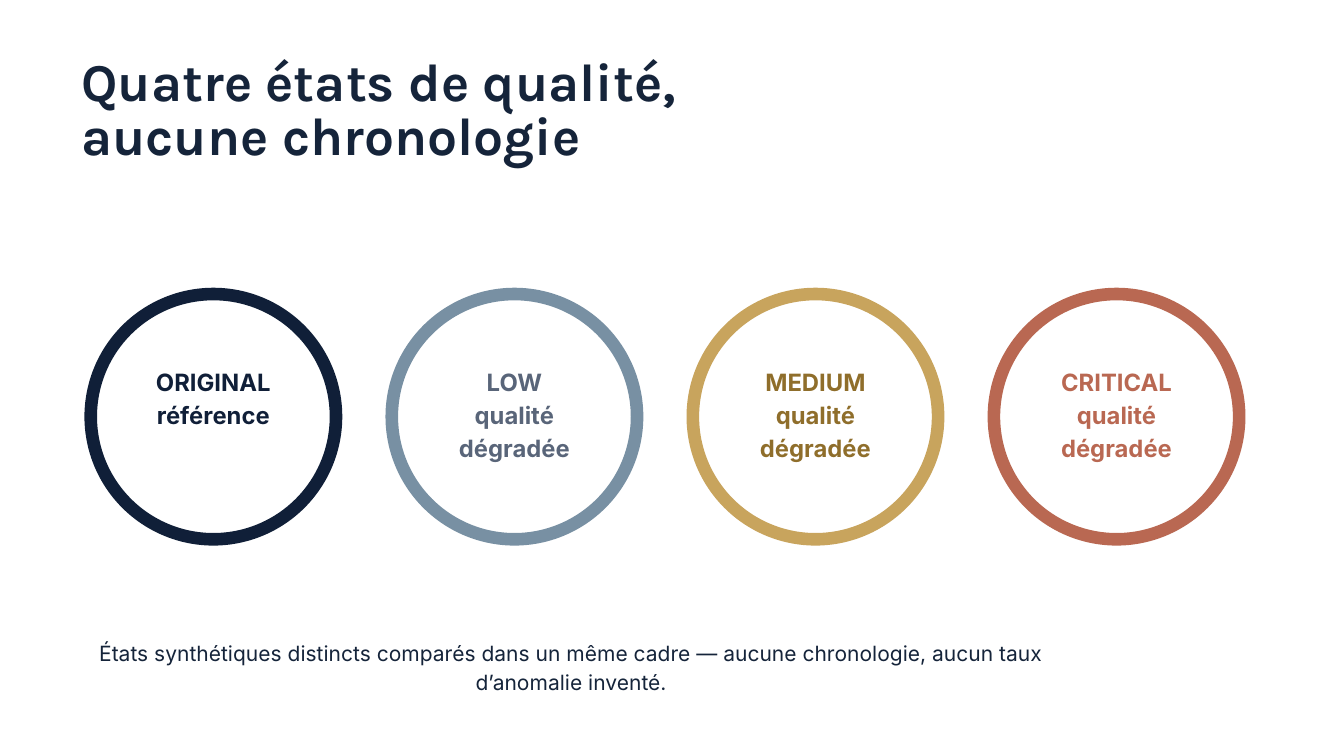
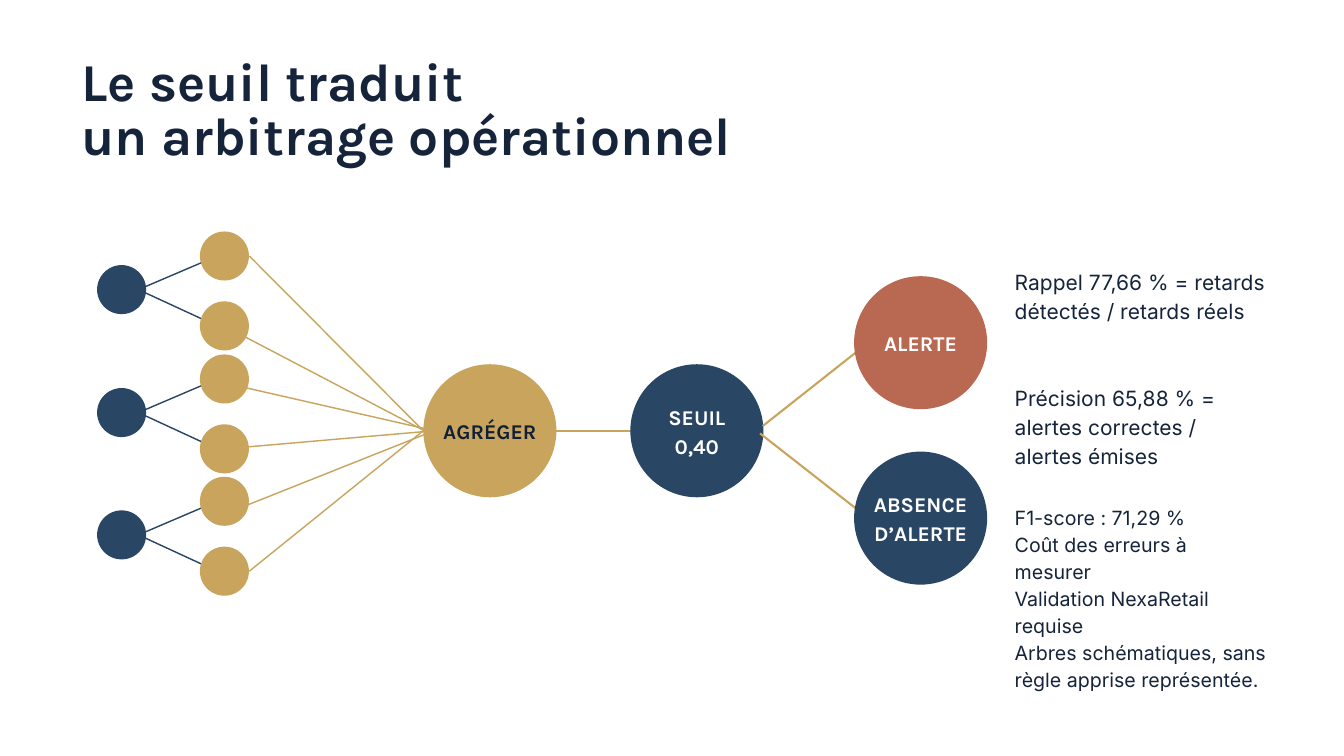
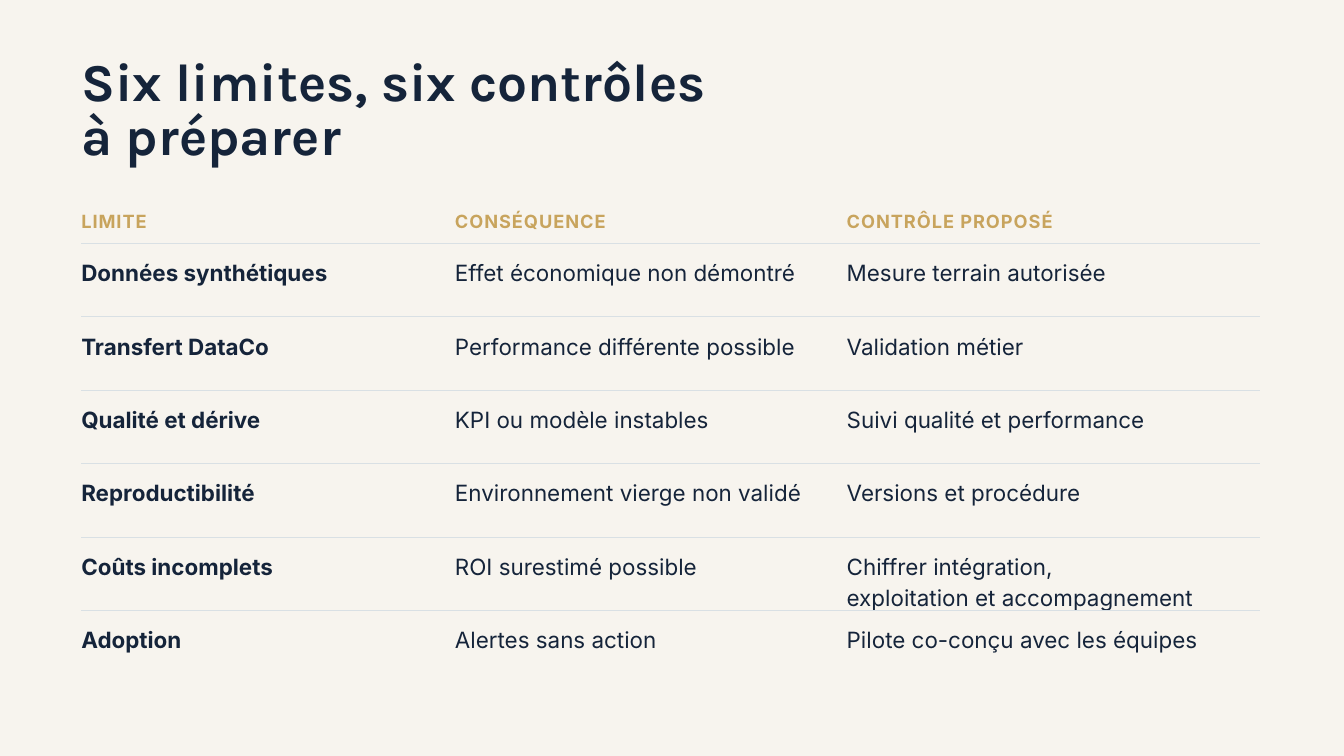
from dataclasses import dataclass
from typing import NamedTuple

from lxml.etree import SubElement
from pptx import Presentation
from pptx.dml.color import RGBColor
from pptx.enum.shapes import MSO_CONNECTOR, MSO_SHAPE
from pptx.enum.text import MSO_ANCHOR, PP_ALIGN
from pptx.oxml.ns import qn
from pptx.shapes.autoshape import Shape
from pptx.slide import Slide
from pptx.table import _Cell
from pptx.text.text import TextFrame
from pptx.util import Inches, Pt

WHITE = RGBColor(0xFF, 0xFF, 0xFF)
CREAM = RGBColor(0xF7, 0xF4, 0xEE)
INK = RGBColor(0x15, 0x24, 0x3A)
NAVY = RGBColor(0x10, 0x1F, 0x38)
BLUE = RGBColor(0x29, 0x46, 0x65)
STEEL = RGBColor(0x78, 0x90, 0xA3)
SLATE = RGBColor(0x59, 0x65, 0x79)
GOLD = RGBColor(0xC8, 0xA4, 0x5D)
BRONZE = RGBColor(0x8F, 0x6E, 0x2B)
BRICK = RGBColor(0xB9, 0x68, 0x52)
RULE = RGBColor(0xD9, 0xE0, 0xE4)

PLAIN_TABLE_STYLE = "{2D5ABB26-0587-4C30-8999-92F81FD0307C}"
MARGIN_LEFT = 1.21


@dataclass(frozen=True)
class TextStyle:
    """Font, size, line spacing and look of a text."""

    font: str
    size: float
    line: float
    color: RGBColor = INK
    bold: bool = False
    align: PP_ALIGN = PP_ALIGN.LEFT
    tracking: int = 0


class QualityState(NamedTuple):
    """A ring with its label."""

    label: str
    ring: RGBColor
    text: RGBColor


class Link(NamedTuple):
    """A straight line between two points, in inches."""

    start: tuple[float, float]
    end: tuple[float, float]


class Node(NamedTuple):
    """A large labelled disc, placed by its centre."""

    label: str
    x: float
    y: float
    fill: RGBColor
    text: RGBColor = WHITE


class Note(NamedTuple):
    """A text at the right of the diagram."""

    text: str
    top: float
    height: float
    style: TextStyle


TITLE = TextStyle("Karla", 57, 58.1, bold=True)
BODY = TextStyle("Inter", 22.5, 31)
CAPTION = TextStyle("Inter", 22.5, 31, align=PP_ALIGN.CENTER)
SMALL = TextStyle("Inter", 21, 29)
TABLE_HEAD = TextStyle("Inter", 19.5, 27.3, GOLD, bold=True, tracking=100)
TABLE_KEY = TextStyle("Inter", 24, 33.1, bold=True)
TABLE_BODY = TextStyle("Inter", 24, 33.1)

STATES = [
    QualityState("ORIGINAL\nréférence", NAVY, NAVY),
    QualityState("LOW\nqualité dégradée", STEEL, SLATE),
    QualityState("MEDIUM\nqualité dégradée", GOLD, BRONZE),
    QualityState("CRITICAL\nqualité dégradée", BRICK, BRICK),
]
RING_SIZE = 3.65
RING_LEFT = 1.35
RING_PITCH = 4.48

TREE_CENTERS = [4.31, 6.14, 7.96]
ROOT_X = 1.81
LEAF_X = 3.34
LEAF_OFFSETS = [-0.5, 0.54]
DOT_SIZE = 0.73
DISC_SIZE = 1.98
AXIS_Y = 6.41
LEAF_LINKS = [
    Link((3.71, 3.81), (6.3, AXIS_Y)),
    Link((3.45, 4.91), (6.62, 6.57)),
    Link((3.48, 5.73), (6.46, AXIS_Y)),
    Link((3.34, 6.68), (6.46, AXIS_Y)),
    Link((3.67, 7.52), (6.46, AXIS_Y)),
    Link((3.71, 8.5), (6.3, AXIS_Y)),
]
THRESHOLD_LINK = Link((8.02, AXIS_Y), (9.58, AXIS_Y))
OUTCOME_LINKS = [
    Link((11.35, 6.34), (12.92, 5.1)),
    Link((11.31, 6.45), (12.92, 7.71)),
]
AGGREGATE = Node("AGRÉGER", 7.29, AXIS_Y, GOLD, NAVY)
THRESHOLD = Node("SEUIL\n0,40", 10.37, AXIS_Y, BLUE)
OUTCOMES = [
    Node("ALERTE", 13.7, 5.1, BRICK),
    Node("ABSENCE\nD’ALERTE", 13.7, 7.71, BLUE),
]
NOTES = [
    Note("Rappel 77,66 % = retards détectés / retards réels", 3.96, 0.85, BODY),
    Note("Précision 65,88 % = alertes correctes / alertes émises", 5.68, 1.28, BODY),
    Note(
        "F1-score : 71,29 %\nCoût des erreurs à mesurer\nValidation NexaRetail requise\n"
        "Arbres schématiques, sans règle apprise représentée.",
        7.47, 2.35, SMALL,
    ),
]

COLUMN_WIDTHS = [5.56, 5.83, 6.15]
TABLE_TOP = 3.09
HEADER_HEIGHT = 0.55
BODY_HEIGHT = 6.56
FIRST_RULE_Y = 3.62
CONTROLS = [
    ("LIMITE", "CONSÉQUENCE", "CONTRÔLE PROPOSÉ"),
    ("Données synthétiques", "Effet économique non démontré", "Mesure terrain autorisée"),
    ("Transfert DataCo", "Performance différente possible", "Validation métier"),
    ("Qualité et dérive", "KPI ou modèle instables", "Suivi qualité et performance"),
    ("Reproductibilité", "Environnement vierge non validé", "Versions et procédure"),
    ("Coûts incomplets", "ROI surestimé possible",
     "Chiffrer intégration,\nexploitation et accompagnement"),
    ("Adoption", "Alertes sans action", "Pilote co-conçu avec les équipes"),
]


def write(frame: TextFrame, text: str, style: TextStyle) -> None:
    """Fill a frame with one paragraph per line of text."""
    for index, line in enumerate(text.split("\n")):
        paragraph = frame.add_paragraph() if index else frame.paragraphs[0]
        paragraph.alignment = style.align
        paragraph.line_spacing = Pt(style.line)
        run = paragraph.add_run()
        run.text = line
        run.font.name = style.font
        run.font.size = Pt(style.size)
        run.font.bold = style.bold
        run.font.color.rgb = style.color
        if style.tracking:
            run.font._element.set("spc", str(style.tracking))


def clear_margins(target: TextFrame | _Cell) -> None:
    """Remove the inner margins of a frame or a cell."""
    target.margin_left = target.margin_right = 0
    target.margin_top = target.margin_bottom = 0


def add_text(slide: Slide, text: str, left: float, top: float,
             width: float, height: float, style: TextStyle) -> None:
    """Add a wrapping text box without margins."""
    box = slide.shapes.add_textbox(Inches(left), Inches(top), Inches(width), Inches(height))
    frame = box.text_frame
    frame.word_wrap = True
    clear_margins(frame)
    write(frame, text, style)


def add_slide(presentation: Presentation, title: str, background: RGBColor) -> Slide:
    """Add a blank slide with its background and title."""
    slide = presentation.slides.add_slide(presentation.slide_layouts[6])
    slide.background.fill.solid()
    slide.background.fill.fore_color.rgb = background
    add_text(slide, title, MARGIN_LEFT, 0.86, 12.5, 1.64, TITLE)
    return slide


def add_circle(slide: Slide, x: float, y: float, size: float) -> Shape:
    """Add a shadowless circle around a centre."""
    circle = slide.shapes.add_shape(
        MSO_SHAPE.OVAL, Inches(x - size / 2), Inches(y - size / 2), Inches(size), Inches(size))
    circle.shadow.inherit = False
    clear_margins(circle.text_frame)
    return circle


def add_disc(slide: Slide, x: float, y: float, size: float, color: RGBColor) -> Shape:
    """Add a filled circle without outline."""
    disc = add_circle(slide, x, y, size)
    disc.fill.solid()
    disc.fill.fore_color.rgb = color
    disc.line.fill.background()
    return disc


def add_ring(slide: Slide, index: int, state: QualityState) -> None:
    """Add a ring holding the label of a quality state."""
    ring = add_circle(slide, RING_LEFT + RING_SIZE / 2 + index * RING_PITCH, 6.2, RING_SIZE)
    ring.fill.background()
    ring.line.color.rgb = state.ring
    ring.line.width = Pt(13.5)
    frame = ring.text_frame
    frame.word_wrap = True
    frame.vertical_anchor = MSO_ANCHOR.TOP
    frame.margin_top = Inches(0.5)
    style = TextStyle("Inter", 25.5, 35.2, state.text, True, PP_ALIGN.CENTER)
    write(frame, state.label, style)


def add_node(slide: Slide, node: Node) -> None:
    """Add a large disc with its centred label."""
    frame = add_disc(slide, node.x, node.y, DISC_SIZE, node.fill).text_frame
    frame.word_wrap = False
    frame.vertical_anchor = MSO_ANCHOR.MIDDLE
    frame.margin_bottom = Inches(0.04)
    write(frame, node.label, TextStyle("Karla", 22.5, 31.5, node.text, True, PP_ALIGN.CENTER))


def add_link(slide: Slide, link: Link, color: RGBColor, width: float) -> None:
    """Add a straight connector without shadow."""
    points = [Inches(value) for value in (*link.start, *link.end)]
    connector = slide.shapes.add_connector(MSO_CONNECTOR.STRAIGHT, *points)
    connector.line.color.rgb = color
    connector.line.width = Pt(width)
    SubElement(connector._element.spPr, qn("a:effectLst"))


def add_tree(slide: Slide, root_y: float) -> None:
    """Add a root, its two leaves and their links."""
    leaf_centers = [root_y + offset for offset in LEAF_OFFSETS]
    for leaf_y in leaf_centers:
        add_link(slide, Link((ROOT_X + 0.25, root_y), (LEAF_X - 0.11, leaf_y)), BLUE, 1.5)
    add_disc(slide, ROOT_X, root_y, DOT_SIZE, BLUE)
    for leaf_y in leaf_centers:
        add_disc(slide, LEAF_X, leaf_y, DOT_SIZE, GOLD)


def add_control_table(slide: Slide) -> None:
    """Add the table of limits, consequences and controls with its rules."""
    table_width = sum(COLUMN_WIDTHS)
    frame = slide.shapes.add_table(
        len(CONTROLS), len(COLUMN_WIDTHS), Inches(MARGIN_LEFT), Inches(TABLE_TOP),
        Inches(table_width), Inches(HEADER_HEIGHT + BODY_HEIGHT))
    table = frame.table
    table.first_row = table.horz_banding = False
    table._tbl.tblPr.find(qn("a:tableStyleId")).text = PLAIN_TABLE_STYLE
    for column, width in zip(table.columns, COLUMN_WIDTHS):
        column.width = Inches(width)
    body_row_height = BODY_HEIGHT / (len(CONTROLS) - 1)
    for row_index, texts in enumerate(CONTROLS):
        table.rows[row_index].height = Inches(body_row_height if row_index else HEADER_HEIGHT)
        for column_index, text in enumerate(texts):
            cell = table.cell(row_index, column_index)
            clear_margins(cell)
            cell.fill.background()
            if row_index == 0:
                style = TABLE_HEAD
            else:
                cell.margin_top = Inches(0.17)
                style = TABLE_BODY if column_index else TABLE_KEY
            write(cell.text_frame, text, style)
    for rule_index in range(len(CONTROLS) - 1):
        rule_y = FIRST_RULE_Y + rule_index * body_row_height
        rule = Link((MARGIN_LEFT, rule_y), (MARGIN_LEFT + table_width, rule_y))
        add_link(slide, rule, RULE, 0.75)


def build_states(presentation: Presentation) -> None:
    """Build the slide of the four quality states."""
    slide = add_slide(presentation, "Quatre états de qualité,\naucune chronologie", WHITE)
    for index, state in enumerate(STATES):
        add_ring(slide, index, state)
    caption = ("États synthétiques distincts comparés dans un même cadre — "
               "aucune chronologie, aucun taux d’anomalie inventé.")
    add_text(slide, caption, MARGIN_LEFT, 9.48, 14.58, 0.85, CAPTION)


def build_threshold(presentation: Presentation) -> None:
    """Build the diagram from trees to alert decision."""
    slide = add_slide(presentation, "Le seuil traduit\nun arbitrage opérationnel", WHITE)
    for root_y in TREE_CENTERS:
        add_tree(slide, root_y)
    for link in LEAF_LINKS:
        add_link(slide, link, GOLD, 1.5)
    add_node(slide, AGGREGATE)
    add_link(slide, THRESHOLD_LINK, GOLD, 2.25)
    add_node(slide, THRESHOLD)
    for link in OUTCOME_LINKS:
        add_link(slide, link, GOLD, 2.25)
    for node in OUTCOMES:
        add_node(slide, node)
    for note in NOTES:
        add_text(slide, note.text, 15.1, note.top, 3.75, note.height, note.style)


def build_controls(presentation: Presentation) -> None:
    """Build the slide of limits and controls."""
    slide = add_slide(presentation, "Six limites, six contrôles\nà préparer", CREAM)
    add_control_table(slide)


def main() -> None:
    """Build and save the presentation."""
    presentation = Presentation()
    presentation.slide_width = Inches(20)
    presentation.slide_height = Inches(11.25)
    build_states(presentation)
    build_threshold(presentation)
    build_controls(presentation)
    presentation.save("out.pptx")


if __name__ == "__main__":
    main()
